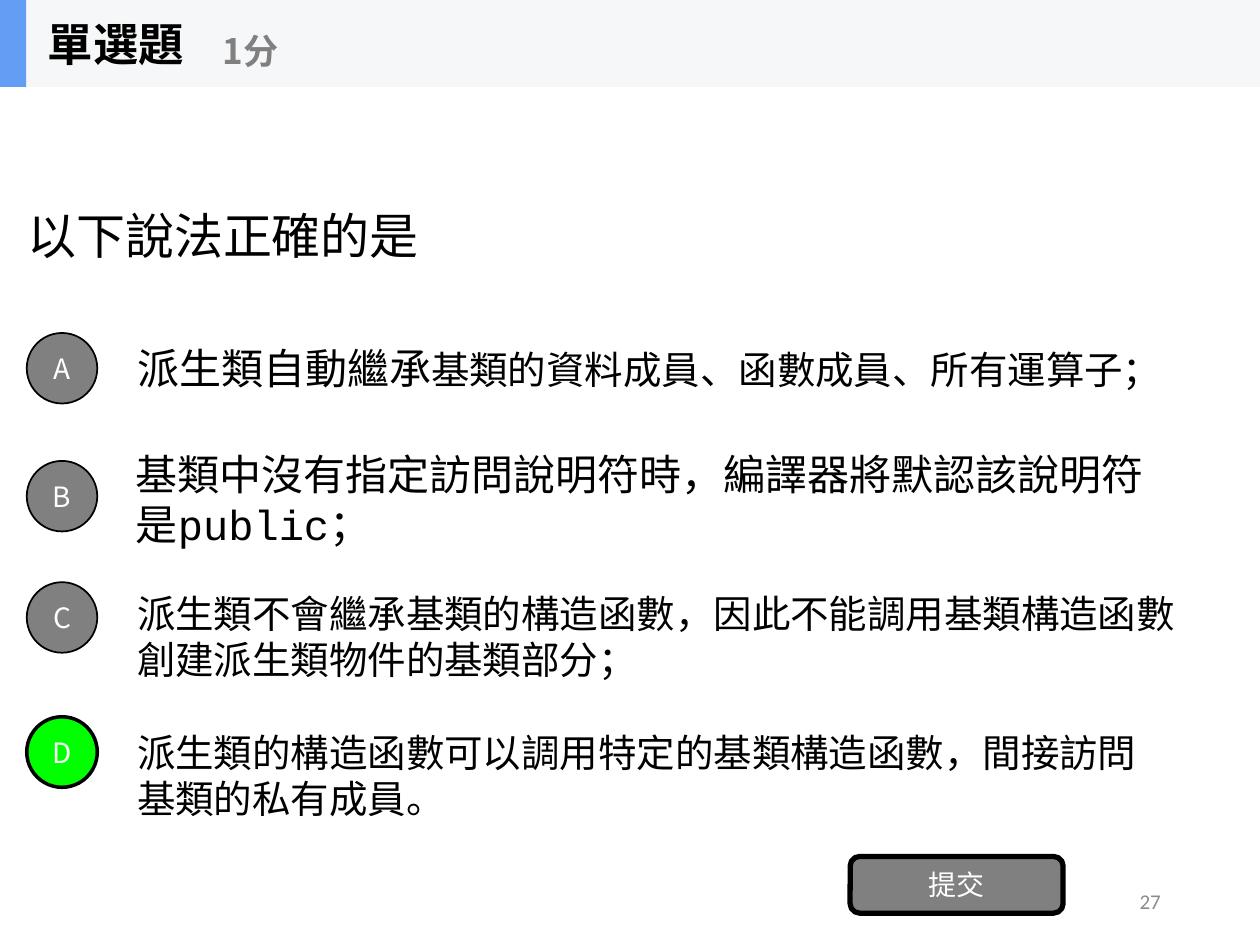
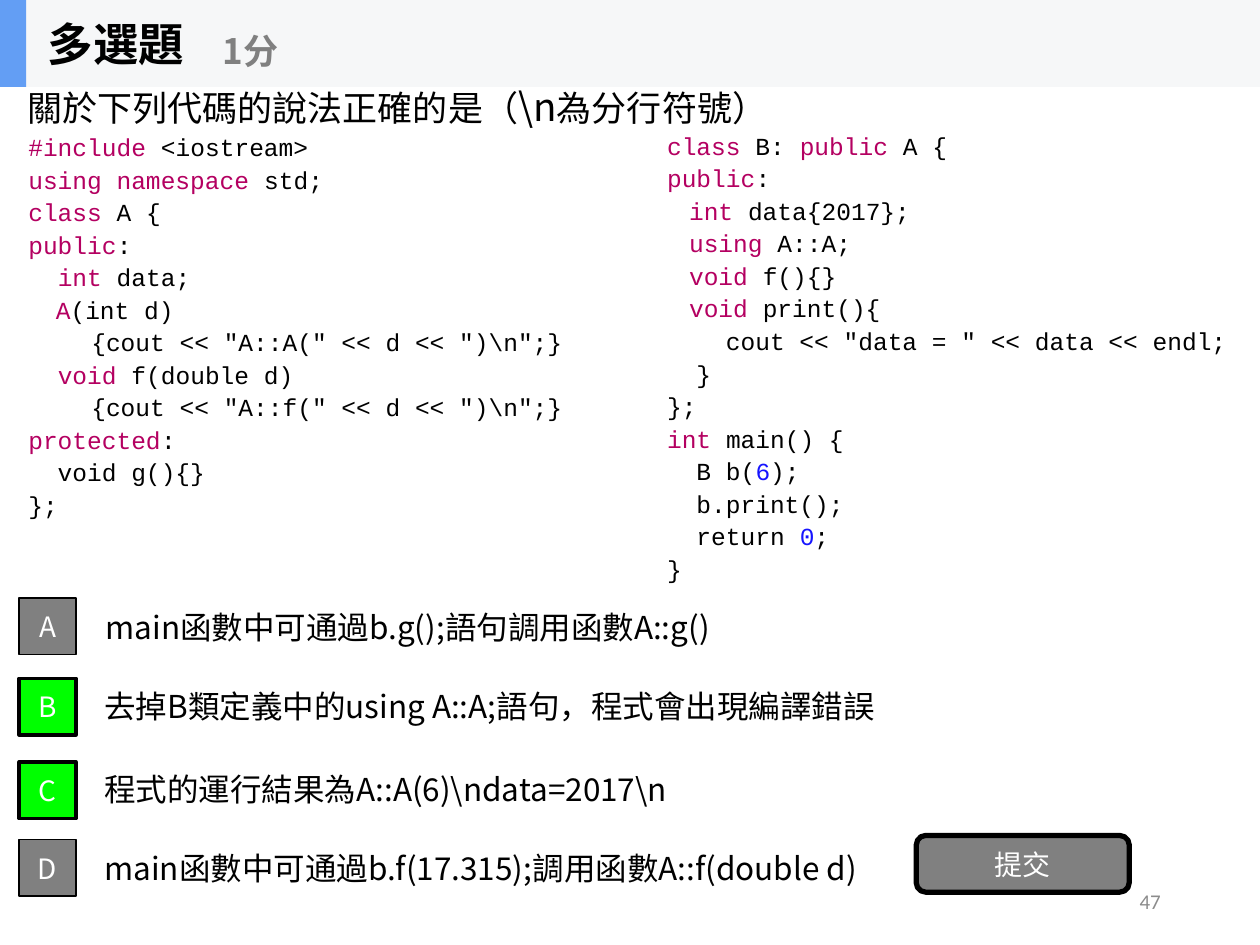
import pptx
import pptx.dml.color
import pptx.enum.shapes
import pptx.enum.text
import pptx.util
import lxml.etree
from dataclasses import dataclass

Pt = pptx.util.Pt
SHAPE = pptx.enum.shapes.MSO_SHAPE
ALIGN = pptx.enum.text.PP_ALIGN
ANCHOR = pptx.enum.text.MSO_ANCHOR
DRAWING = "{http://schemas.openxmlformats.org/drawingml/2006/main}"


@dataclass(frozen=True)
class Theme:
    # Fonts
    sans: str = "Noto Sans CJK SC"
    mono: str = "Courier New"
    plain: str = "Calibri"
    # Colours
    ink: str = "000000"
    paper: str = "FFFFFF"
    grey: str = "808080"
    page: str = "8C8C8C"
    correct: str = "00FF00"
    band: str = "F6F7F8"
    accent: str = "639EF4"
    keyword: str = "B40061"
    number: str = "1614FF"
    # Type sizes
    question: int = 28
    heading: int = 26
    large_option: int = 24
    option: int = 22
    score: int = 20
    code_question: int = 20
    code_option: int = 18
    label: int = 16
    code: int = 14
    page_size: int = 12
    code_leading: float = 18.6


THEME = Theme()
BAND_HEIGHT = 49.7


def rgb(colour):
    return pptx.dml.color.RGBColor.from_string(colour)


def style_run(run, size, font, colour=THEME.ink, bold=False):
    run.font.size = Pt(size)
    run.font.name = font
    run.font.bold = bold
    run.font.color.rgb = rgb(colour)
    east_asian = lxml.etree.Element(DRAWING + "ea")
    east_asian.set("typeface", THEME.sans if font == THEME.sans else THEME.plain)
    run.font._element.find(DRAWING + "latin").addnext(east_asian)


def write(paragraph, text, *style, **options):
    """Write a whole paragraph in one style; a newline is a line break."""
    paragraph.text = text
    for run in paragraph.runs:
        style_run(run, *style, **options)


def add_run(paragraph, text, *style):
    run = paragraph.add_run()
    run.text = text
    style_run(run, *style)


def write_runs(paragraph, runs):
    """Write one (text, size, font) run, or several side by side."""
    if len(runs) == 1:
        write(paragraph, *runs[0])
    else:
        for run in runs:
            add_run(paragraph, *run)


def add_box(slide, box, wrap=True, anchor=ANCHOR.MIDDLE):
    """Add an empty text box and return its text frame."""
    frame = slide.shapes.add_textbox(*map(Pt, box)).text_frame
    frame.word_wrap = wrap
    frame.vertical_anchor = anchor
    return frame


def add_block(slide, kind, box, fill, line_width=0, label=""):
    block = slide.shapes.add_shape(kind, *map(Pt, box))
    block.shadow.inherit = False
    block.fill.solid()
    block.fill.fore_color.rgb = rgb(fill)
    if line_width:
        block.line.color.rgb = rgb(THEME.ink)
        block.line.width = Pt(line_width)
    else:
        block.line.fill.background()
    if label:
        frame = block.text_frame
        frame.margin_left = frame.margin_right = 0
        frame.margin_top = frame.margin_bottom = 0
        frame.vertical_anchor = ANCHOR.MIDDLE
        frame.paragraphs[0].alignment = ALIGN.CENTER
        write(frame.paragraphs[0], label, THEME.label, THEME.sans, THEME.paper)


def add_question_slide(deck, heading, page):
    """Start a slide with the band, heading, score and page number."""
    slide = deck.slides.add_slide(deck.slide_layouts[5])
    width = deck.slide_width.pt
    add_block(slide, SHAPE.RECTANGLE, (0, 0, width, BAND_HEIGHT), THEME.band)
    add_block(slide, SHAPE.RECTANGLE, (0, 0, 15, BAND_HEIGHT), THEME.accent)

    # The title goes in front of the band
    title = slide.shapes.title
    slide.shapes._spTree.append(title._element)
    title.left, title.top = Pt(20.2), Pt(0)
    title.width, title.height = Pt(149.8), Pt(BAND_HEIGHT)
    frame = title.text_frame
    frame.auto_size = pptx.enum.text.MSO_AUTO_SIZE.NONE
    frame.word_wrap = False
    frame.vertical_anchor = ANCHOR.MIDDLE
    frame.paragraphs[0].alignment = ALIGN.LEFT
    write(frame.paragraphs[0], heading, THEME.heading, THEME.sans, bold=True)

    score = add_box(slide, (120.2, 8.6, 180, 40.3), wrap=False)
    write(score.paragraphs[0], "1分", THEME.score, THEME.sans, THEME.grey, bold=True)

    number = add_box(slide, (508.4, 500.4, 162, 28.8)).paragraphs[0]
    number.alignment = ALIGN.RIGHT
    write(number, page, THEME.page_size, THEME.plain, THEME.page)
    return slide


def add_question(slide, box, runs):
    write_runs(add_box(slide, box).paragraphs[0], runs)


def add_option(slide, letter, badge, correct, text_place, runs):
    """Add a lettered badge (kind, left, top, side) and the option beside it."""
    kind, left, top, side = badge
    add_block(slide, kind, (left, top, side, side),
              THEME.correct if correct else THEME.grey, 2 if correct else 1, letter)
    text_box = (*text_place, 620, 50.4)
    write_runs(add_box(slide, text_box, wrap=False).paragraphs[0], runs)


def add_submit(slide, left, top):
    add_block(slide, SHAPE.ROUNDED_RECTANGLE, (left, top, 121.7, 32.4),
              THEME.grey, 3, "提交")


def add_code(slide, box, listing):
    """Backticks enclose coloured tokens; a leading ~ is a narrow space."""
    frame = add_box(slide, box, anchor=ANCHOR.TOP)
    for index, line in enumerate(listing.strip("\n").split("\n")):
        paragraph = frame.add_paragraph() if index else frame.paragraphs[0]
        paragraph.line_spacing = Pt(THEME.code_leading)
        if "\t" in line:
            stops = lxml.etree.SubElement(paragraph._p.get_or_add_pPr(), DRAWING + "tabLst")
            lxml.etree.SubElement(stops, DRAWING + "tab", pos=str(int(Pt(36))), algn="l")
        code = line.lstrip("~")
        narrow = len(line) - len(code)
        if narrow:
            add_run(paragraph, " " * narrow, THEME.code, THEME.sans)
        for position, token in enumerate(code.split("`")):
            colour = THEME.ink
            if position % 2:
                colour = THEME.number if token.isdigit() else THEME.keyword
            if token:
                add_run(paragraph, token, THEME.code, THEME.mono, colour)


BASE_CLASS = r"""
`#include` <iostream>
`using namespace` std;
`class` A {
`public`:
  `int` data;
~~~~~`A`(int d)
	{cout << "A::A(" << d << ")\n";}
  `void` f(double d)
	{cout << "A::f(" << d << ")\n";}
`protected`:
  void g(){}
};
"""

DERIVED_CLASS = """
`class` B: `public` A {
`public`:
~~~~`int` data{2017};
~~~~`using` A::A;
~~~~`void` f(){}
~~~~`void` print(){
    cout << "data = " << data << endl;
  }
};
`int` main() {
  B b(`6`);
  b.print();
  return `0`;
}
"""


def build_single_choice(deck):
    slide = add_question_slide(deck, "單選題", "27")
    add_question(slide, (8.6, 50, 576, 168.5),
                 [("以下說法正確的是", THEME.question, THEME.mono)])
    # Letter, badge top, correct, text left and top, runs
    options = [
        ("A", 190.3, False, (71.3, 185.2),
         [("派生類自動繼承", THEME.large_option, THEME.plain),
          ("基類的資料成員、函數成員、所有運算子；", THEME.option, THEME.mono)]),
        ("B", 263.4, False, (70.6, 259.9),
         [("基類中沒有指定訪問說明符時，編譯器將默認該說明符\n是public；",
           THEME.large_option, THEME.mono)]),
        ("C", 332.7, False, (71.3, 338.4),
         [("派生類不會繼承基類的構造函數，因此不能調用基類構造函數\n"
           "創建派生類物件的基類部分；", THEME.option, THEME.mono)]),
        ("D", 409.6, True, (71.3, 417.6),
         [("派生類的構造函數可以調用特定的基類構造函數，間接訪問\n"
           "基類的私有成員。", THEME.option, THEME.mono)]),
    ]
    for letter, top, correct, place, runs in options:
        add_option(slide, letter, (SHAPE.OVAL, 15.3, top, 40.3), correct, place, runs)
    add_submit(slide, 485.8, 489.4)


def build_multiple_choice(deck):
    slide = add_question_slide(deck, "多選題", "47")
    add_question(slide, (8.6, 33.1, 576, 55.4),
                 [("關於下列代碼的說法正確的是（", THEME.code_question, THEME.sans),
                  (r"\n", THEME.option, THEME.sans),
                  ("為分行符號）", THEME.code_question, THEME.sans)])
    add_code(slide, (9.1, 70.1, 399.6, 237.6), BASE_CLASS)
    add_code(slide, (374.1, 69.4, 345, 275.8), DERIVED_CLASS)
    # Letter, badge top, correct, text left and top, text
    options = [
        ("A", 341.6, False, (53.3, 332.9), "main函數中可通過b.g();語句調用函數A::g()"),
        ("B", 387.6, True, (52.6, 378), "去掉B類定義中的using A::A;語句，程式會出現編譯錯誤"),
        ("C", 435.4, True, (52.6, 425.5), r"程式的運行結果為A::A(6)\ndata=2017\n"),
        ("D", 479.7, False, (52.6, 470.9),
         "main函數中可通過b.f(17.315);調用函數A::f(double d)"),
    ]
    for letter, top, correct, place, text in options:
        add_option(slide, letter, (SHAPE.RECTANGLE, 11, top, 32.4), correct, place,
                   [(text, THEME.code_option, THEME.sans)])
    add_submit(slide, 523.6, 477.4)


def main():
    deck = pptx.Presentation()
    deck.slide_width, deck.slide_height = Pt(720), Pt(540)
    build_single_choice(deck)
    build_multiple_choice(deck)
    deck.save("out.pptx")


if __name__ == "__main__":
    main()
